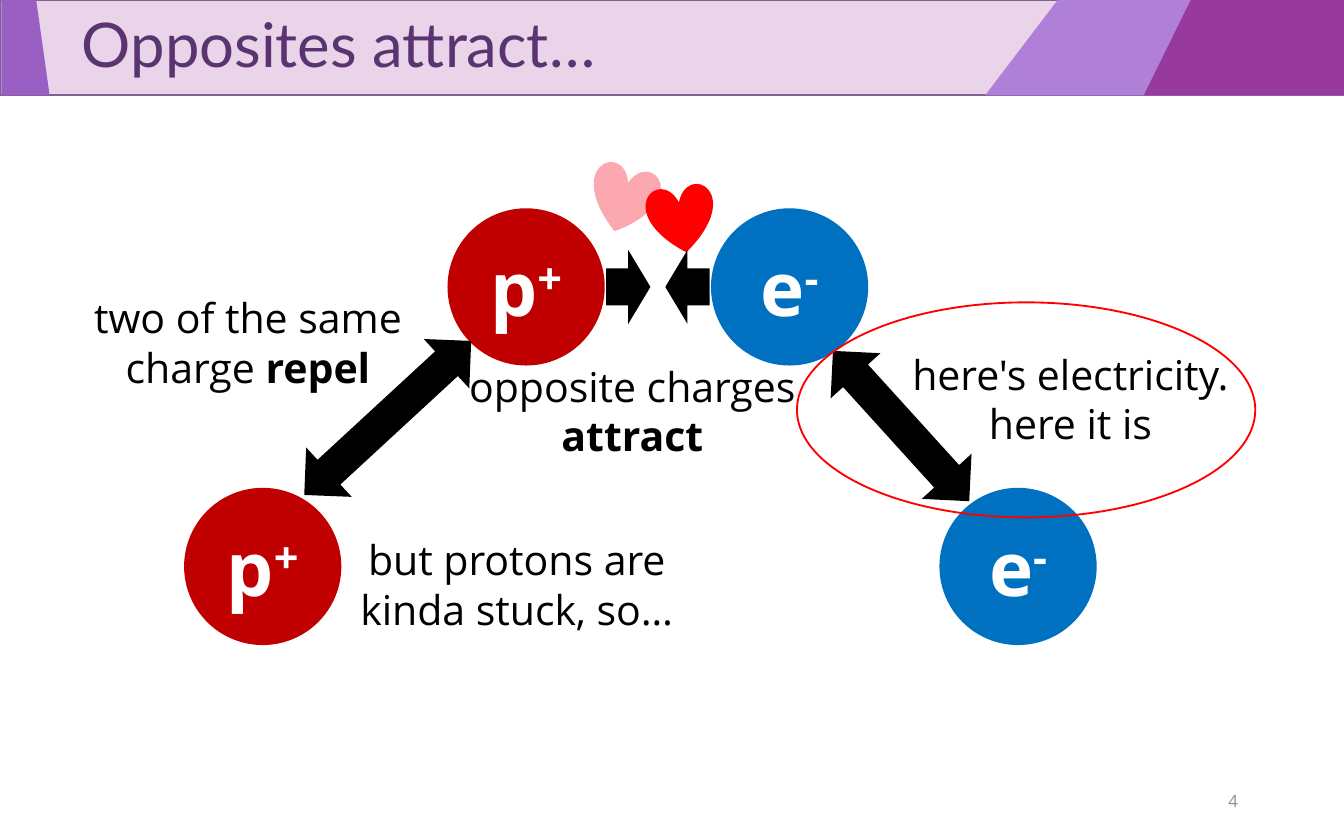
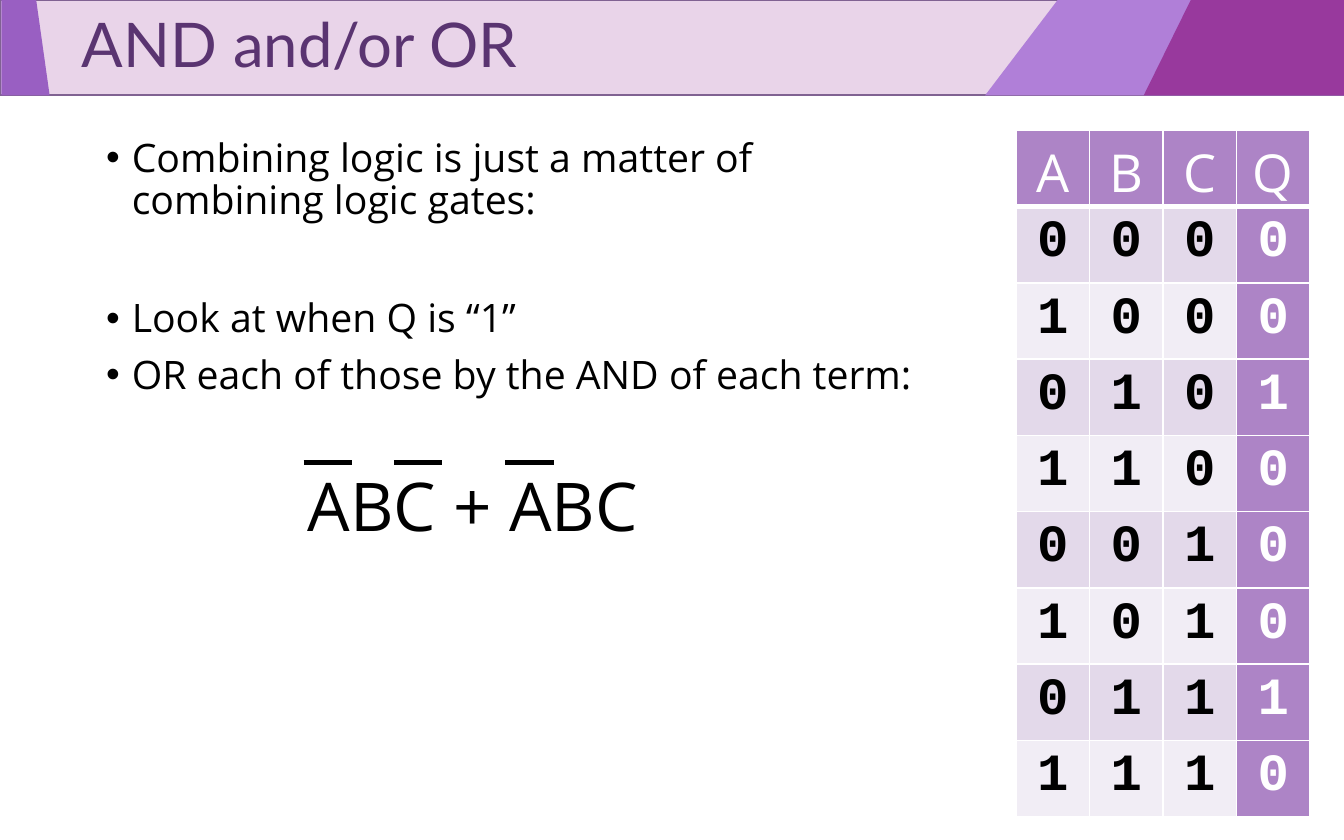
from dataclasses import dataclass
from itertools import product

from lxml.etree import SubElement
from pptx import Presentation
from pptx.dml.color import RGBColor
from pptx.enum.shapes import MSO_CONNECTOR, MSO_SHAPE as Preset
from pptx.enum.text import MSO_ANCHOR as Anchor, MSO_AUTO_SIZE as AutoSize, PP_ALIGN as Align
from pptx.oxml.ns import qn
from pptx.util import Inches, Pt


@dataclass(frozen=True)
class Theme:
    white: str = "FFFFFF"
    black: str = "000000"
    red: str = "FF0000"
    pink: str = "FCA8B0"
    proton: str = "C00000"
    electron: str = "0070C0"
    title: str = "5A3471"
    number: str = "8C8C8C"
    band: str = "E9D4E9"
    band_line: str = "806292"
    header: str = "AD84C6"
    stripes: tuple = ("E3D9EA", "F1EDF5")
    heading_font: str = "Lato"
    body_font: str = "Open Sans"
    digit_font: str = "Courier New"
    title_size: float = 33
    body_size: float = 21
    formula_size: float = 36
    label_size: float = 22
    particle_size: float = 40
    table_size: float = 28
    number_size: float = 9


THEME = Theme()

# Grid: 100 columns by 62.5 rows; every length below is counted in cells
CELL = Inches(0.1)
COLUMNS, ROWS = 100, 62.5
BAND_HEIGHT = 7.1
NUMBER_BOX = (70.6, 57.9, 22.5, 3.3)

# Band pieces: colour, then left and right edges at the top and at the bottom
BAND_PIECES = [
    ("B07FD8", (78.7, 100), (73.3, 100)),
    ("995FC2", (0.1, 2.7), (0.1, 3.7)),
    ("98399D", (88.6, 100), (85.1, 100)),
]

# Slide 1 content
CHARGES_TITLE, CHARGES_NUMBER = "Opposites attract…", "4"
DIAMETER = 11.7
PROTON, ELECTRON = ("p", "+", THEME.proton), ("e", "-", THEME.electron)
UPPER_PARTICLES = [(PROTON, 33.3, 15.5), (ELECTRON, 52.9, 15.5)]
LOWER_PARTICLES = [(PROTON, 13.7, 36.3), (ELECTRON, 69.9, 36.3)]
HEARTS_AND_PULLS = [
    (Preset.HEART, (43.9, 12.3, 5, 5), 15.5, THEME.pink),
    (Preset.HEART, (48.2, 13.8, 5, 5), 351.6, THEME.red),
    (Preset.RIGHT_ARROW, (45.1, 18.6, 3.3, 5.5), 0, THEME.black),
    (Preset.RIGHT_ARROW, (49.5, 18.6, 3.3, 5.5), 180, THEME.black),
]
REPULSIONS = [
    (Preset.LEFT_RIGHT_ARROW, (20.4, 28.6, 16.9, 5), 317.3, THEME.black),
    (Preset.LEFT_RIGHT_ARROW, (59.5, 29.2, 15.1, 5), 227.8, THEME.black),
]
LABEL_SIZE = (26.5, 8.4)
LABELS = [
    (33.8, 26.4, "opposite charges ", "attract"),
    (5.2, 21.3, "two of the same charge ", "repel"),
    (66.4, 25.5, "here's electricity. here it is", ""),
    (25.2, 39.3, "but protons are kinda stuck, so…", ""),
]
ELECTRICITY_RING = (59.3, 22.5, 34.1, 16)

# Slide 2 content
LOGIC_TITLE, LOGIC_NUMBER = "AND and/or OR", "21"
BODY_BOX = (6.9, 9.8, 86.2, 46.5)
BULLET_INDENT, FORMULA_INDENT = 1.9, 15
GAP = 7.5
WIDE_GAP = 40.7
BULLETS = [
    ("Combining logic is just a matter of\vcombining logic gates:", GAP),
    ("Look at when Q is “1”", WIDE_GAP),
    ("OR each of those by the AND of each term:", GAP),
]
FORMULA = "ABC + ABC"
OVERLINES, OVERLINE_TOP, OVERLINE_LENGTH = (22.6, 29.3, 37.6), 34.4, 3.6
TRUTH_HEADER = ("A", "B", "C", "Q")
TRUTH_ROWS = [(a, b, c, int(b and not a)) for c, b, a in product((0, 1), repeat=3)]
TABLE_CORNER, TABLE_COLUMN, TABLE_ROW = (75.6, 9.7), 5.47, 5


# Shared helpers
def cells(*counts):
    return [round(count * CELL) for count in counts]


def set_values(target, **values):
    for name, value in values.items():
        setattr(target, name, value)


def set_font(font, size, color=THEME.black, name=THEME.body_font, bold=False):
    set_values(font, size=Pt(size), name=name, bold=bold)
    font.color.rgb = RGBColor.from_string(color)


def set_fill(target, color):
    target.fill.solid()
    target.fill.fore_color.rgb = RGBColor.from_string(color)


def set_paint(shape, fill=None, line=None):
    shape.shadow.inherit = False
    if fill:
        set_fill(shape, fill)
    else:
        shape.fill.background()
    if line:
        shape.line.color.rgb = RGBColor.from_string(line)
        shape.line.width = Pt(1)
    else:
        shape.line.fill.background()


def set_indent(paragraph, left, first=0, bullet=None):
    properties = paragraph._p.get_or_add_pPr()
    for name, value in zip(("marL", "indent"), cells(left, first)):
        properties.set(name, str(value))
    if bullet:
        SubElement(properties, qn("a:buChar")).set("char", bullet)
    else:
        SubElement(properties, qn("a:buNone"))


def place(shape, box):
    set_values(shape, **dict(zip(("left", "top", "width", "height"), cells(*box))))


def add_preset(slide, preset, box, rotation=0, fill=None, line=None):
    shape = slide.shapes.add_shape(preset, *cells(*box))
    shape.rotation = rotation
    set_paint(shape, fill, line)
    return shape


def add_text(slide, box, runs, size, align, color=THEME.black, anchor=Anchor.TOP):
    frame = slide.shapes.add_textbox(*cells(*box)).text_frame
    set_values(frame, word_wrap=True, vertical_anchor=anchor)
    paragraph = frame.paragraphs[0]
    paragraph.alignment = align
    for text, bold in runs:
        run = paragraph.add_run()
        run.text = text
        set_font(run.font, size, color, bold=bold)


def add_master_band(presentation, slide):
    """Draw the band and move it to the master, behind its placeholders."""
    band = [add_preset(slide, Preset.RECTANGLE, (0, 0, COLUMNS, BAND_HEIGHT),
                       fill=THEME.band, line=THEME.band_line)]
    for color, (top_left, top_right), (bottom_left, bottom_right) in BAND_PIECES:
        builder = slide.shapes.build_freeform(*cells(top_left, 0))
        builder.add_line_segments([cells(top_right, 0), cells(bottom_right, BAND_HEIGHT),
                                   cells(bottom_left, BAND_HEIGHT)])
        piece = builder.convert_to_shape()
        set_paint(piece, color)
        band.append(piece)
    master_tree = presentation.slide_master.shapes._spTree
    for position, shape in enumerate(band, start=2):
        master_tree.insert(position, shape._element)


def set_title(slide, text):
    title = slide.shapes.title
    place(title, (0.1, 0, COLUMNS, BAND_HEIGHT))
    set_values(title.text_frame, text=text, vertical_anchor=Anchor.MIDDLE,
               auto_size=AutoSize.NONE, word_wrap=True)
    paragraph = title.text_frame.paragraphs[0]
    set_values(paragraph, alignment=Align.LEFT, line_spacing=0.9)
    set_indent(paragraph, 5)
    set_font(paragraph.runs[0].font, THEME.title_size, THEME.title, THEME.heading_font)


def add_number(slide, number):
    add_text(slide, NUMBER_BOX, [(number, False)], THEME.number_size, Align.RIGHT,
             THEME.number, Anchor.MIDDLE)


# Slide 1 parts
def add_particle(slide, particle, left, top):
    letter, charge, color = particle
    frame = add_preset(slide, Preset.OVAL, (left, top, DIAMETER, DIAMETER), fill=color).text_frame
    frame.vertical_anchor = Anchor.MIDDLE
    paragraph = frame.paragraphs[0]
    paragraph.alignment = Align.CENTER
    for text in (letter, charge):
        run = paragraph.add_run()
        run.text = text
        set_font(run.font, THEME.particle_size, THEME.white, bold=True)
    run._r.get_or_add_rPr().set("baseline", "30000")


def build_charges(slide):
    set_title(slide, CHARGES_TITLE)
    add_number(slide, CHARGES_NUMBER)
    for particles, marks in ((UPPER_PARTICLES, HEARTS_AND_PULLS), (LOWER_PARTICLES, REPULSIONS)):
        for particle in particles:
            add_particle(slide, *particle)
        for mark in marks:
            add_preset(slide, *mark)
    for left, top, plain, strong in LABELS:
        runs = [(text, bold) for text, bold in ((plain, False), (strong, True)) if text]
        add_text(slide, (left, top, *LABEL_SIZE), runs, THEME.label_size, Align.CENTER)
    add_preset(slide, Preset.OVAL, ELECTRICITY_RING, line=THEME.red)


# Slide 2 parts
def fill_body(body):
    place(body, BODY_BOX)
    frame = body.text_frame
    set_values(frame, auto_size=AutoSize.NONE, word_wrap=True, vertical_anchor=Anchor.TOP)
    lines = [(text, gap, THEME.body_size, (BULLET_INDENT, -BULLET_INDENT, "•"))
             for text, gap in BULLETS]
    lines.append((FORMULA, WIDE_GAP, THEME.formula_size, (FORMULA_INDENT,)))
    for index, (text, gap, size, indent) in enumerate(lines):
        paragraph = frame.add_paragraph() if index else frame.paragraphs[0]
        set_values(paragraph, text=text, line_spacing=0.9, space_before=Pt(gap))
        set_indent(paragraph, *indent)
        for run in paragraph.runs:
            set_font(run.font, size)


def set_borders(cell, **widths):
    for side, width in widths.items():
        line = SubElement(cell._tc.get_or_add_tcPr(), qn(f"a:ln{side}"), w=str(Pt(width)))
        SubElement(SubElement(line, qn("a:solidFill")), qn("a:srgbClr"), val=THEME.white)


def add_truth_table(slide):
    rows = [TRUTH_HEADER, *TRUTH_ROWS]
    size = (TABLE_COLUMN * len(TRUTH_HEADER), TABLE_ROW * len(rows))
    table = slide.shapes.add_table(len(rows), len(TRUTH_HEADER), *cells(*TABLE_CORNER, *size)).table
    margins = dict.fromkeys(("margin_left", "margin_top", "margin_right", "margin_bottom"),
                            Inches(0.05))
    for row_index, row in enumerate(rows):
        for column_index, value in enumerate(row):
            cell = table.cell(row_index, column_index)
            is_header = row_index == 0
            is_strong = is_header or column_index == len(row) - 1
            set_values(cell, text=str(value), **margins)
            if is_header:
                set_borders(cell, L=1, R=1, T=1, B=3)
            else:
                set_borders(cell, L=1, R=1, B=1)
            set_fill(cell, THEME.header if is_strong else THEME.stripes[(row_index - 1) % 2])
            paragraph = cell.text_frame.paragraphs[0]
            paragraph.alignment = Align.CENTER
            set_font(paragraph.runs[0].font, THEME.table_size,
                     THEME.white if is_strong else THEME.black,
                     THEME.body_font if is_header else THEME.digit_font, not is_header)


def add_overline(slide, left):
    ends = cells(left, OVERLINE_TOP, left + OVERLINE_LENGTH, OVERLINE_TOP)
    overline = slide.shapes.add_connector(MSO_CONNECTOR.STRAIGHT, *ends)
    overline.line.color.rgb = RGBColor.from_string(THEME.black)
    overline.line.width = Pt(2.75)
    SubElement(overline._element.spPr, qn("a:effectLst"))


def build_logic(slide):
    set_title(slide, LOGIC_TITLE)
    fill_body(slide.placeholders[1])
    add_number(slide, LOGIC_NUMBER)
    add_truth_table(slide)
    for left in OVERLINES:
        add_overline(slide, left)


def main():
    presentation = Presentation()
    presentation.slide_width, presentation.slide_height = cells(COLUMNS, ROWS)
    title_and_content, title_only = (presentation.slide_layouts[index] for index in (1, 5))
    charges = presentation.slides.add_slide(title_only)
    add_master_band(presentation, charges)
    build_charges(charges)
    build_logic(presentation.slides.add_slide(title_and_content))
    presentation.save("out.pptx")


if __name__ == "__main__":
    main()
